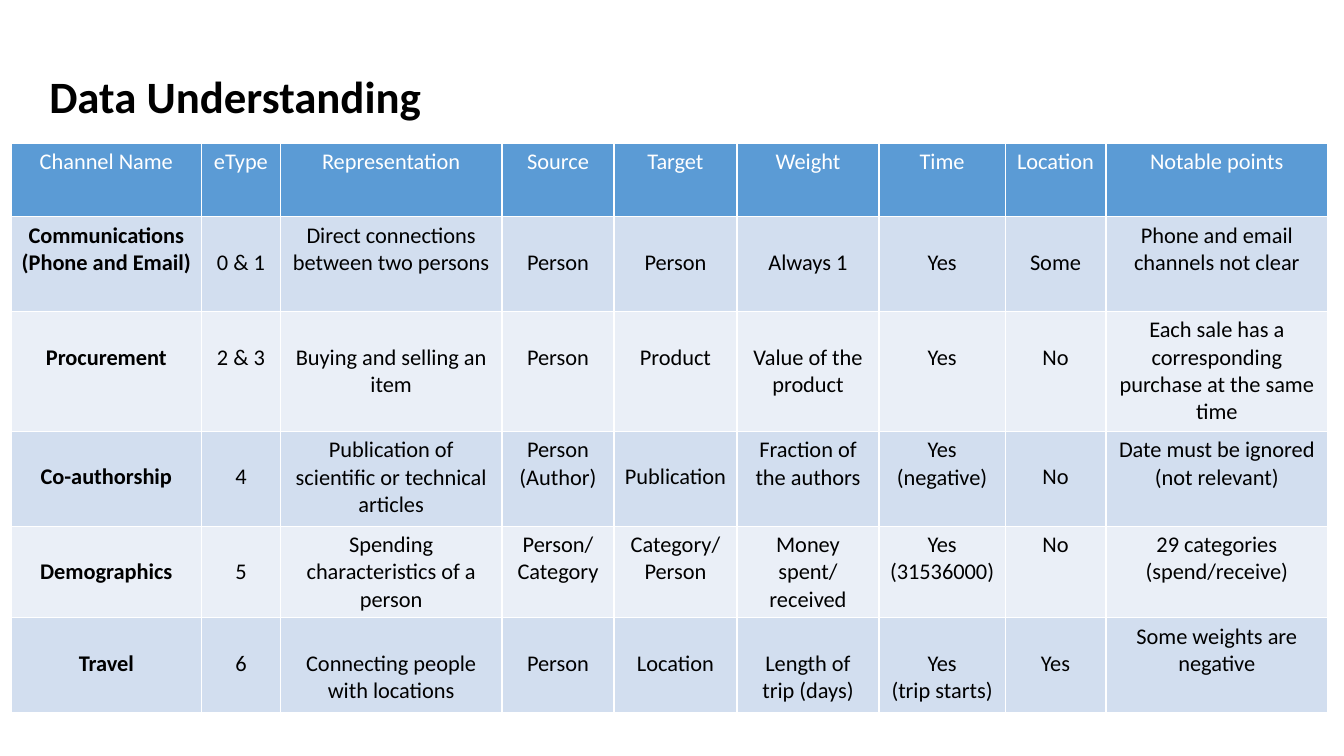
from pptx import Presentation
from pptx.dml.color import RGBColor
from pptx.enum.text import MSO_ANCHOR, PP_ALIGN
from pptx.util import Inches, Pt

CENTER, LEFT = PP_ALIGN.CENTER, PP_ALIGN.LEFT
MIDDLE = MSO_ANCHOR.MIDDLE
FONT = "Calibri"
BLACK, WHITE = "000000", "FFFFFF"
HEADER_FILL = "5B9BD5"
BAND_FILLS = ["D2DEEF", "EAEFF7"]
CELL_MARGIN = 0.05
LINE_HEIGHT = 0.27


def color(hex_string):
    """Turn a hex string into a colour."""
    return RGBColor.from_string(hex_string)


def write(text_frame, text, size=16, bold=False, ink=BLACK, align=CENTER, spacing=None):
    """Fill a text frame, one paragraph for each line of the text."""
    text_frame.word_wrap = True
    text_frame.text = text
    for paragraph in text_frame.paragraphs:
        paragraph.alignment = align
        paragraph.line_spacing = spacing
        for run in paragraph.runs:
            run.font.name = FONT
            run.font.size = Pt(size)
            run.font.bold = bold
            run.font.color.rgb = color(ink)


presentation = Presentation()
presentation.slide_width = Inches(13.33)
presentation.slide_height = Inches(7.5)
slide = presentation.slides.add_slide(presentation.slide_layouts[6])

title = slide.shapes.add_textbox(Inches(0.39), Inches(0.56), Inches(12.02), Inches(0.85))
title.text_frame.vertical_anchor = MIDDLE
write(title.text_frame, "Data Understanding", size=32, bold=True, align=LEFT, spacing=0.9)

headers = ["Channel Name", "eType", "Representation", "Source", "Target",
           "Weight", "Time", "Location", "Notable points"]
# Each channel: the columns whose text starts at the top of the cell, then its cells.
# All other columns start one line lower.
channels = [
    ({0, 2, 8},
     ["Communications\n(Phone and Email)", "0 & 1", "Direct connections between two persons",
      "Person", "Person", "Always 1", "Yes", "Some", "Phone and email channels not clear"]),
    ({8},
     ["Procurement", "2 & 3", "Buying and selling an item", "Person", "Product",
      "Value of the product", "Yes", "No",
      "Each sale has a corresponding purchase at the same time"]),
    ({2, 3, 5, 6, 8},
     ["Co-authorship", "4", "Publication of scientific or technical articles",
      "Person\n(Author)", "Publication", "Fraction of the authors", "Yes\n(negative)", "No",
      "Date must be ignored (not relevant)"]),
    ({2, 3, 4, 5, 6, 7, 8},
     ["Demographics", "5", "Spending characteristics of a person", "Person/\nCategory",
      "Category/\nPerson", "Money spent/\nreceived", "Yes\n(31536000)", "No",
      "29 categories (spend/receive)"]),
    ({8},
     ["Travel", "6", "Connecting people with locations", "Person", "Location",
      "Length of trip (days)", "Yes\n(trip starts)", "Yes", "Some weights are negative"]),
]
column_widths = [1.89, 0.78, 2.2, 1.11, 1.22, 1.41, 1.25, 1, 2.2]
row_heights = [0.73, 0.94, 1.19, 0.94, 0.91, 0.94]

table = slide.shapes.add_table(
    len(row_heights), len(column_widths), Inches(0.11), Inches(1.42),
    Inches(sum(column_widths)), Inches(sum(row_heights))).table
for column, width in zip(table.columns, column_widths):
    column.width = Inches(width)
for row, height in zip(table.rows, row_heights):
    row.height = Inches(height)

for column_index, header in enumerate(headers):
    cell = table.cell(0, column_index)
    cell.fill.solid()
    cell.fill.fore_color.rgb = color(HEADER_FILL)
    write(cell.text_frame, header, ink=WHITE)

for row_index, (top_columns, texts) in enumerate(channels, start=1):
    for column_index, text in enumerate(texts):
        cell = table.cell(row_index, column_index)
        cell.fill.solid()
        cell.fill.fore_color.rgb = color(BAND_FILLS[(row_index - 1) % 2])
        drop = 0 if column_index in top_columns else LINE_HEIGHT
        cell.margin_top = Inches(CELL_MARGIN + drop)
        write(cell.text_frame, text, bold=column_index == 0)

presentation.save("out.pptx")
